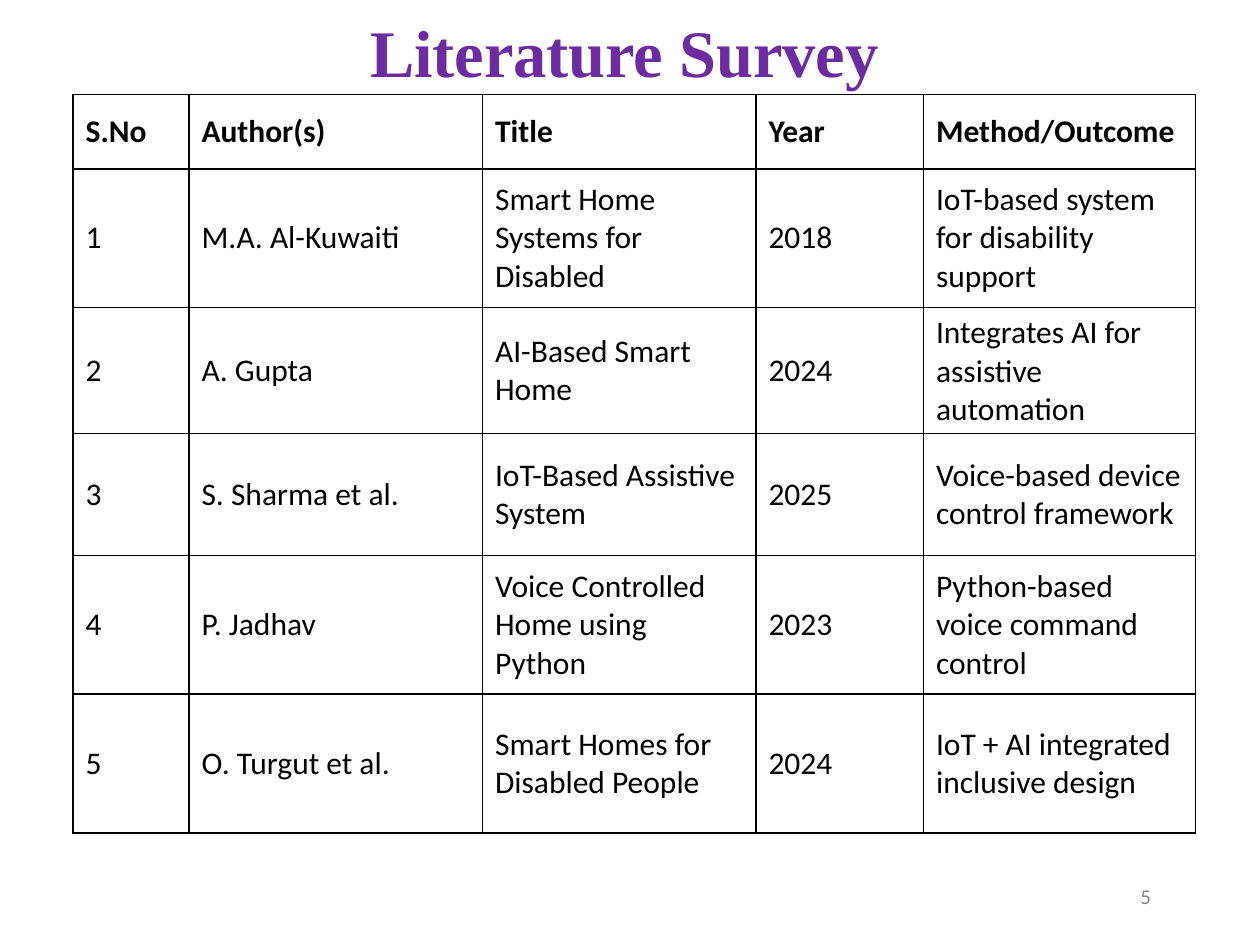
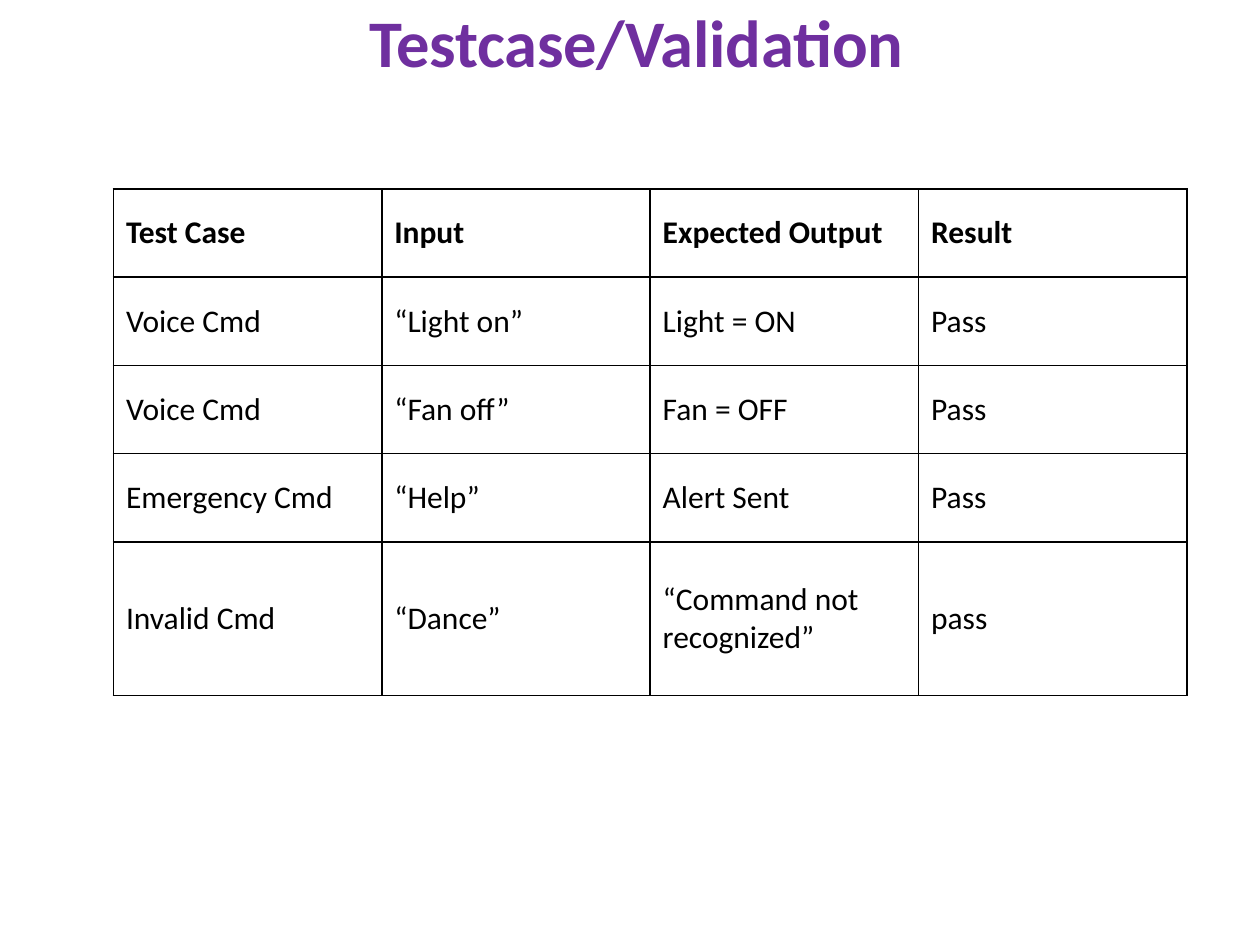
"""Build the literature survey and test case slides."""
from lxml import etree
from pptx import Presentation
from pptx.dml.color import RGBColor
from pptx.enum.text import MSO_ANCHOR
from pptx.oxml.ns import qn
from pptx.util import Inches, Pt

MIDDLE = MSO_ANCHOR.MIDDLE
BLANK_LAYOUT = 6
BODY_FONT = "Calibri"
TITLE_FONT = "Times New Roman"
COLORS = {
    "survey_title": "6C2C9F",
    "test_title": "6F2F9F",
    "text": "000000",
    "border": "000000",
    "page_number": "858585",
    "cell": "FFFFFF",
}

SURVEY_COLUMNS = [0.92, 2.33, 2.17, 1.33, 2.16]
SURVEY_HEIGHTS = [0.59, 1.1, 1.0, 0.97, 1.1, 1.1]
SURVEY_ROWS = [
    ["S.No", "Author(s)", "Title", "Year", "Method/Outcome"],
    ["1", "M.A. Al-Kuwaiti", "Smart Home Systems for Disabled", "2018",
     "IoT-based system for disability support"],
    ["2", "A. Gupta", "AI-Based Smart Home", "2024",
     "Integrates AI for assistive automation"],
    ["3", "S. Sharma et al.", "IoT-Based Assistive System", "2025",
     "Voice-based device control framework"],
    ["4", "P. Jadhav", "Voice Controlled Home using Python", "2023",
     "Python-based voice command control"],
    ["5", "O. Turgut et al.", "Smart Homes for Disabled People", "2024",
     "IoT + AI integrated inclusive design"],
]

TEST_COLUMNS = [2.13] * 4
TEST_HEIGHTS = [0.7] * 4 + [1.22]
TEST_ROWS = [
    ["Test Case", "Input", "Expected Output", "Result"],
    ["Voice Cmd", "“Light on”", "Light = ON", "Pass"],
    ["Voice Cmd", "“Fan off”", "Fan = OFF", "Pass"],
    ["Emergency Cmd", "“Help”", "Alert Sent", "Pass"],
    ["Invalid Cmd", "“Dance”", "“Command not recognized”", "pass"],
]


class Deck:
    """Hold the shared style and the current slide."""

    def __init__(self):
        self.presentation = Presentation()
        self.presentation.slide_width = Inches(10)
        self.presentation.slide_height = Inches(7.5)
        self.slide = None

    def add_slide(self):
        layout = self.presentation.slide_layouts[BLANK_LAYOUT]
        self.slide = self.presentation.slides.add_slide(layout)

    def add_run(self, paragraph, text, size, color, font=BODY_FONT, bold=False, spacing=0):
        run = paragraph.add_run()
        run.text = text
        run.font.name = font
        run.font.size = Pt(size)
        run.font.bold = bold
        run.font.color.rgb = RGBColor.from_string(COLORS[color])
        if spacing:
            run._r.get_or_add_rPr().set("spc", str(round(spacing * 100)))

    def add_text(self, box, text, size, color, top_inset, indent, space_before, **style):
        text_box = self.slide.shapes.add_textbox(*map(Inches, box))
        frame = text_box.text_frame
        frame.word_wrap = True
        frame.margin_left = frame.margin_right = frame.margin_bottom = 0
        frame.margin_top = Inches(top_inset)
        paragraph = frame.paragraphs[0]
        paragraph.space_before = Pt(space_before)
        paragraph._p.get_or_add_pPr().set("marL", str(Inches(indent)))
        self.add_run(paragraph, text, size, color, **style)

    def add_title(self, text, box, color, top_inset, indent, font=BODY_FONT):
        self.add_text(box, text, 38, color, top_inset, indent, 1.3,
                      font=font, bold=True, spacing=-0.1)

    def add_page_number(self, number):
        self.add_text((9.04, 7, 0.11, 0.23), number, 12, "page_number",
                      0.01, 0.01, 1, spacing=-0.5)

    def add_borders(self, cell):
        properties = cell._tc.get_or_add_tcPr()
        for side in ("a:lnL", "a:lnR", "a:lnT", "a:lnB"):
            line = etree.SubElement(properties, qn(side), w=str(Pt(1)))
            fill = etree.SubElement(line, qn("a:solidFill"))
            etree.SubElement(fill, qn("a:srgbClr"), val=COLORS["border"])

    def add_table(self, left, top, widths, heights, rows):
        table = self.slide.shapes.add_table(
            len(rows), len(widths), Inches(left), Inches(top),
            Inches(sum(widths)), Inches(sum(heights))).table
        table.first_row = False
        table.horz_banding = False
        for column, width in zip(table.columns, widths):
            column.width = Inches(width)
        for row_index, (row, height, texts) in enumerate(zip(table.rows, heights, rows)):
            row.height = Inches(height)
            for cell, text in zip(row.cells, texts):
                cell.vertical_anchor = MIDDLE
                self.add_borders(cell)
                cell.fill.solid()
                cell.fill.fore_color.rgb = RGBColor.from_string(COLORS["cell"])
                self.add_run(cell.text_frame.paragraphs[0], text, 18, "text",
                             bold=row_index == 0)


def main():
    deck = Deck()

    deck.add_slide()
    deck.add_page_number("5")
    deck.add_title("Literature Survey", (2.92, -0.18, 4.99, 1.27),
                   "survey_title", 0.27, 0.02, TITLE_FONT)
    deck.add_table(0.58, 0.75, SURVEY_COLUMNS, SURVEY_HEIGHTS, SURVEY_ROWS)

    deck.add_slide()
    deck.add_title("Testcase/Validation", (2.92, -0.01, 4.39, 0.67),
                   "test_title", 0.02, 0.01)
    deck.add_table(0.9, 1.5, TEST_COLUMNS, TEST_HEIGHTS, TEST_ROWS)

    deck.presentation.save("out.pptx")


if __name__ == "__main__":
    main()
